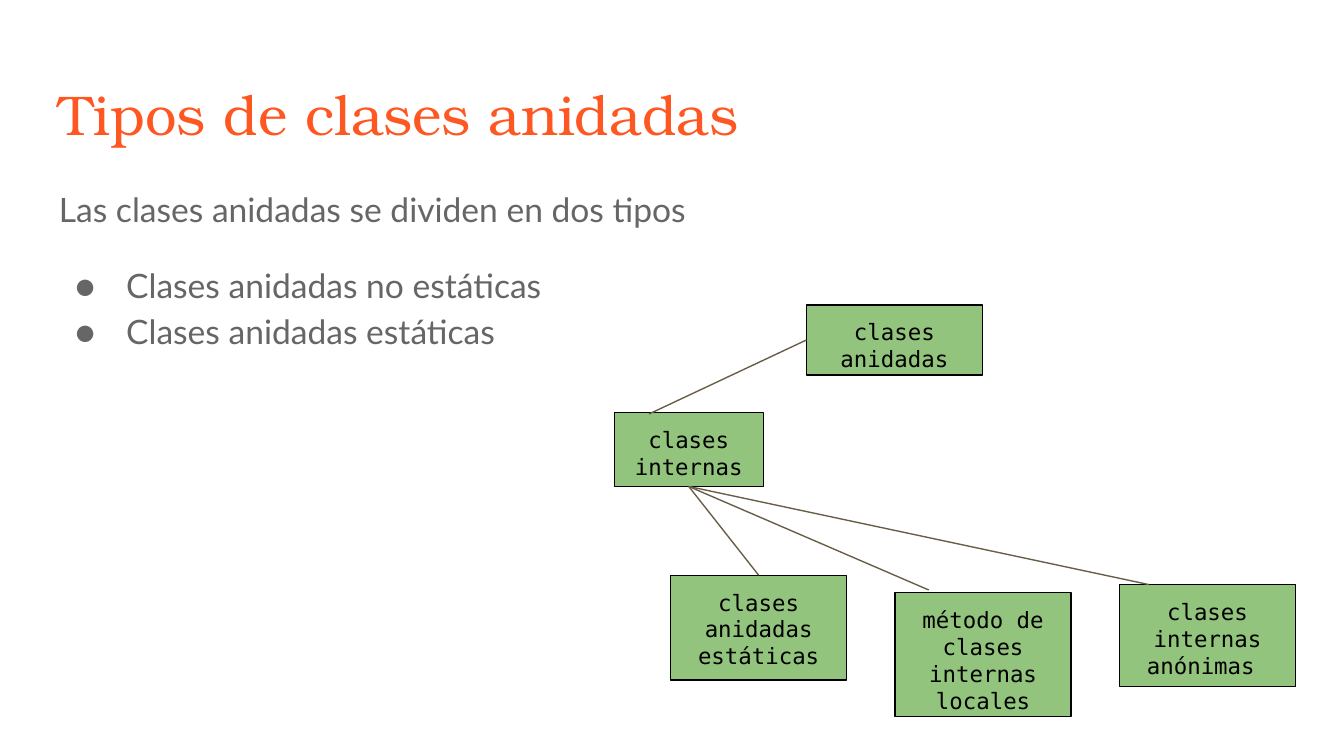
from lxml.etree import SubElement
from pptx import Presentation
from pptx.dml.color import RGBColor as RGB
from pptx.enum.shapes import MSO_CONNECTOR as CONN, MSO_SHAPE as SHAPE
from pptx.enum.text import MSO_ANCHOR as ANCHOR, PP_ALIGN as ALIGN
from pptx.oxml.ns import qn
from pptx.util import Inches, Pt

COLORS = {"title": "FF5722", "body": "666666", "box": "93C47D",
          "ink": "000000", "link": "695D46"}
TITLE, BODY, MONO = "TeX Gyre Bonum", "Lato", "DejaVu Sans Mono"
CELL = Inches(0.1)
TOP, LEFT, BOTTOM = 0, 1, 2


def color(name):
    """Look up a palette colour."""
    return RGB.from_string(COLORS[name])


def grid(*cells):
    """Turn grid columns and rows into lengths."""
    return [round(c * CELL) for c in cells]


def set_frame(sp):
    """Wrap the text of a shape, with one cell of margin all round."""
    tf = sp.text_frame
    tf.word_wrap = True
    tf.vertical_anchor = ANCHOR.TOP
    tf.margin_left = tf.margin_right = tf.margin_top = tf.margin_bottom = CELL
    return tf


def add_line(tf, text, font, size, ink):
    """Write one paragraph into the first free place of a frame."""
    p = tf.paragraphs[0]
    if p.runs:
        p = tf.add_paragraph()
    r = p.add_run()
    r.text = text
    r.font.name, r.font.size = font, Pt(size)
    r.font.color.rgb = color(ink)
    return p


def add_text(s, *at):
    """Add an empty text frame on the grid."""
    return set_frame(s.shapes.add_textbox(*grid(*at)))


def set_bullet(p):
    """Give a paragraph a hanging round bullet."""
    pr = p._p.get_or_add_pPr()
    pr.set("marL", str(Inches(0.5)))
    pr.set("indent", str(Inches(-0.38)))
    clr = SubElement(pr, qn("a:buClr"))
    SubElement(clr, qn("a:srgbClr"), val=COLORS["body"])
    SubElement(pr, qn("a:buFont"), typeface=BODY)
    SubElement(pr, qn("a:buChar"), char="●")


def add_box(s, lines, *at):
    """Add a class box with centred lines."""
    sp = s.shapes.add_shape(SHAPE.RECTANGLE, *grid(*at))
    sp.shadow.inherit = False
    sp.fill.solid()
    sp.fill.fore_color.rgb = color("box")
    sp.line.color.rgb, sp.line.width = color("ink"), Pt(0.75)
    tf = set_frame(sp)
    for text in lines:
        add_line(tf, text, MONO, 12, "ink").alignment = ALIGN.CENTER
    return sp


def add_link(s, start, end, begin=None, finish=None):
    """Draw a line between grid points, joined to any given box sides."""
    c = s.shapes.add_connector(CONN.STRAIGHT, *grid(*start, *end))
    c.line.color.rgb, c.line.width = color("link"), Pt(0.75)
    SubElement(c._element.spPr, qn("a:effectLst"))
    if begin:
        c.begin_connect(*begin)
    if finish:
        c.end_connect(*finish)


def main():
    """Build the slide on nested classes."""
    prs = Presentation()
    prs.slide_width = Inches(10)
    prs.slide_height = prs.slide_width * 9 // 16
    s = prs.slides.add_slide(prs.slide_layouts[6])

    tf = add_text(s, 3.4, 4.9, 93.2, 6.3)
    add_line(tf, "Tipos de clases anidadas", TITLE, 30, "title")

    tf = add_text(s, 3.4, 12.6, 93.2, 37.4)
    intro = add_line(tf, "Las clases anidadas se dividen en dos tipos", BODY, 18, "body")
    intro.line_spacing = 1.15
    for text, gap in (("Clases anidadas no estáticas", 16), ("Clases anidadas estáticas", 0)):
        p = add_line(tf, text, BODY, 18, "body")
        p.line_spacing, p.space_before = 1.15, Pt(gap)
        set_bullet(p)

    root = add_box(s, ["clases anidadas"], 60, 22.7, 13.1, 5.2)
    inner = add_box(s, ["clases", "internas"], 45.7, 30.7, 11.1, 5.5)
    leaves = ((["clases anidadas", "estáticas"], 42.8, 7.8),
              (["método de clases internas locales"], 44.1, 9.2),
              (["clases internas anónimas "], 43.5, 7.6))
    static, _, _ = [add_box(s, lines, 49.9 + 16.7 * i, top, 13.1, height)
                    for i, (lines, top, height) in enumerate(leaves)]

    hub = (51.2, 36.2)
    add_link(s, (48.3, 30.8), (60, 25.3), finish=(root, LEFT))
    add_link(s, hub, (56.5, 42.8), (inner, BOTTOM), (static, TOP))
    add_link(s, (69.1, 43.9), hub, finish=(inner, BOTTOM))
    add_link(s, hub, (85.5, 43.5), (inner, BOTTOM))
    prs.save("out.pptx")


if __name__ == "__main__":
    main()
